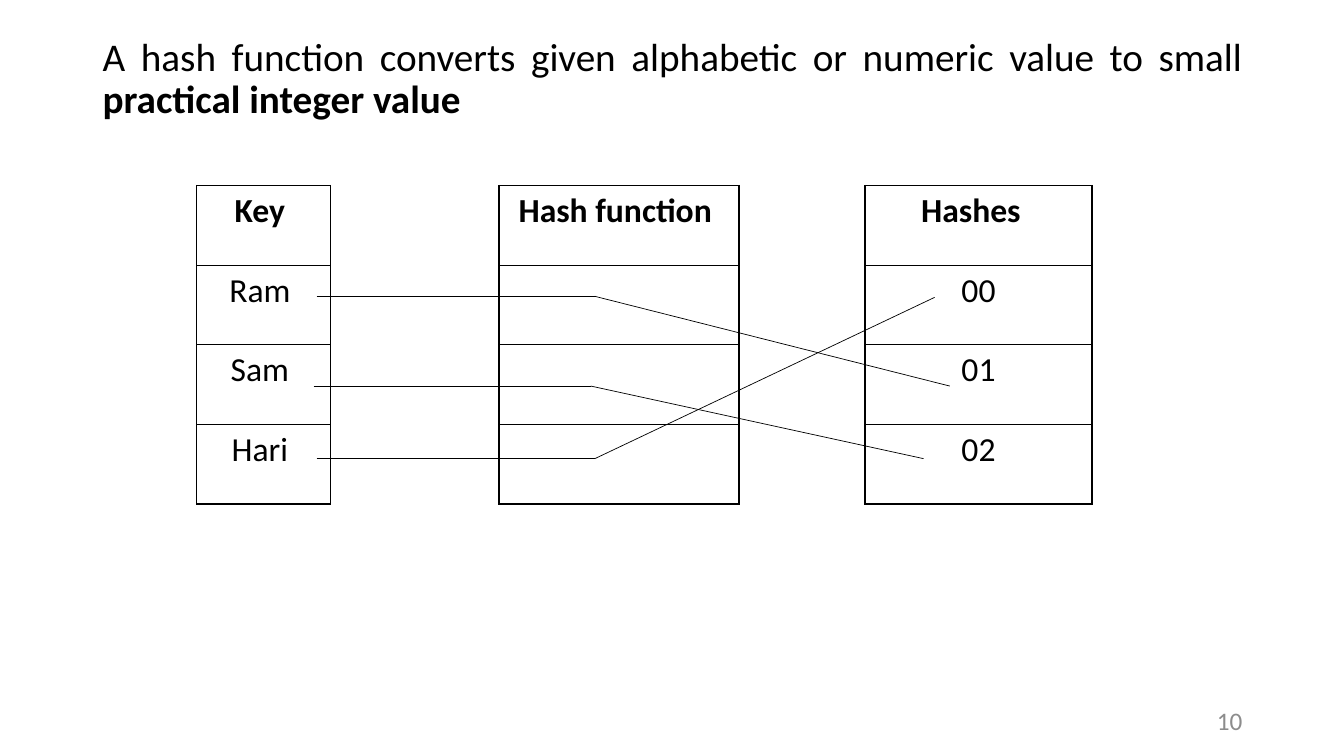
from lxml import etree
from pptx import Presentation
from pptx.dml.color import RGBColor
from pptx.enum.shapes import MSO_CONNECTOR
from pptx.enum.text import MSO_ANCHOR, PP_ALIGN
from pptx.oxml.ns import qn
from pptx.util import Inches, Pt

STRAIGHT = MSO_CONNECTOR.STRAIGHT
TOP, MIDDLE = MSO_ANCHOR.TOP, MSO_ANCHOR.MIDDLE
CENTER, RIGHT, JUSTIFY = PP_ALIGN.CENTER, PP_ALIGN.RIGHT, PP_ALIGN.JUSTIFY

COLORS = {"ink": "000000", "paper": "FFFFFF", "number": "8C8C8C"}
FONT = "Calibri"
TABLE_TOP, ROW_HEIGHT = 1.84, 0.79

TABLES = [
    (1.95, 1.33, ["Key ", "Ram ", "Sam ", "Hari "]),
    (4.95, 2.38, ["Hash function ", "", "", ""]),
    (8.58, 2.25, ["Hashes  ", "00", "01", "02"]),
]
HASH_LINES = [
    [(3.14, 2.94), (5.9, 2.94), (9.42, 3.83)],
    [(3.11, 3.83), (5.86, 3.83), (9.16, 4.55)],
    [(3.14, 4.55), (5.9, 4.55), (9.27, 2.95)],
]


class SlideBuilder:
    """Draws styled text, tables and lines on one slide."""

    def __init__(self, slide):
        self.slide = slide

    def color(self, name):
        return RGBColor.from_string(COLORS[name])

    def apply(self, target, formats):
        for name, value in formats.items():
            setattr(target, name, value)

    def add_runs(self, paragraph, runs, size, color="ink", **formats):
        self.apply(paragraph, formats)
        for text, bold in runs:
            run = paragraph.add_run()
            run.text = text
            self.apply(run.font, {"name": FONT, "size": Pt(size), "bold": bold})
            run.font.color.rgb = self.color(color)

    def text(self, box, runs, size, anchor=TOP, **formats):
        shape = self.slide.shapes.add_textbox(*map(Inches, box))
        frame = shape.text_frame
        self.apply(frame, {"word_wrap": True, "vertical_anchor": anchor})
        self.add_runs(frame.paragraphs[0], runs, size, **formats)

    def border(self, cell):
        properties = cell._tc.get_or_add_tcPr()
        for index, side in enumerate(("a:lnL", "a:lnR", "a:lnT", "a:lnB")):
            line = etree.Element(qn(side), w=str(Pt(1)))
            fill = etree.SubElement(line, qn("a:solidFill"))
            etree.SubElement(fill, qn("a:srgbClr"), val=COLORS["ink"])
            properties.insert(index, line)

    def table(self, left, width, labels):
        box = (left, TABLE_TOP, width, ROW_HEIGHT * len(labels))
        table = self.slide.shapes.add_table(len(labels), 1, *map(Inches, box)).table
        self.apply(table, {"first_row": False, "horz_banding": False})
        for index, label in enumerate(labels):
            table.rows[index].height = Inches(ROW_HEIGHT)
            cell = table.cell(index, 0)
            cell.fill.solid()
            cell.fill.fore_color.rgb = self.color("paper")
            self.border(cell)
            if label:
                paragraph = cell.text_frame.paragraphs[0]
                self.add_runs(paragraph, [(label, index == 0)], 24, alignment=CENTER)

    def line(self, start, end):
        connector = self.slide.shapes.add_connector(
            STRAIGHT, *map(Inches, start + end))
        connector.line.color.rgb = self.color("ink")
        connector.line.width = Pt(0.5)
        etree.SubElement(connector._element.spPr, qn("a:effectLst"))


def main():
    presentation = Presentation()
    presentation.slide_width = Inches(13.33)
    presentation.slide_height = Inches(7.5)
    builder = SlideBuilder(presentation.slides.add_slide(presentation.slide_layouts[6]))

    statement = [
        ("A hash function converts given alphabetic or numeric value to small ", False),
        ("practical integer value", True),
    ]
    builder.text((0.92, 0.32, 11.5, 7.03), statement, 28, alignment=JUSTIFY,
                 line_spacing=0.9, space_before=Pt(10), space_after=Pt(12))
    builder.text((9.42, 6.95, 3, 0.4), [("10", False)], 18, anchor=MIDDLE,
                 color="number", alignment=RIGHT)
    for left, width, labels in TABLES:
        builder.table(left, width, labels)
    for key, bend, hash_value in HASH_LINES:
        builder.line(key, bend)
        builder.line(bend, hash_value)

    presentation.save("out.pptx")


if __name__ == "__main__":
    main()
